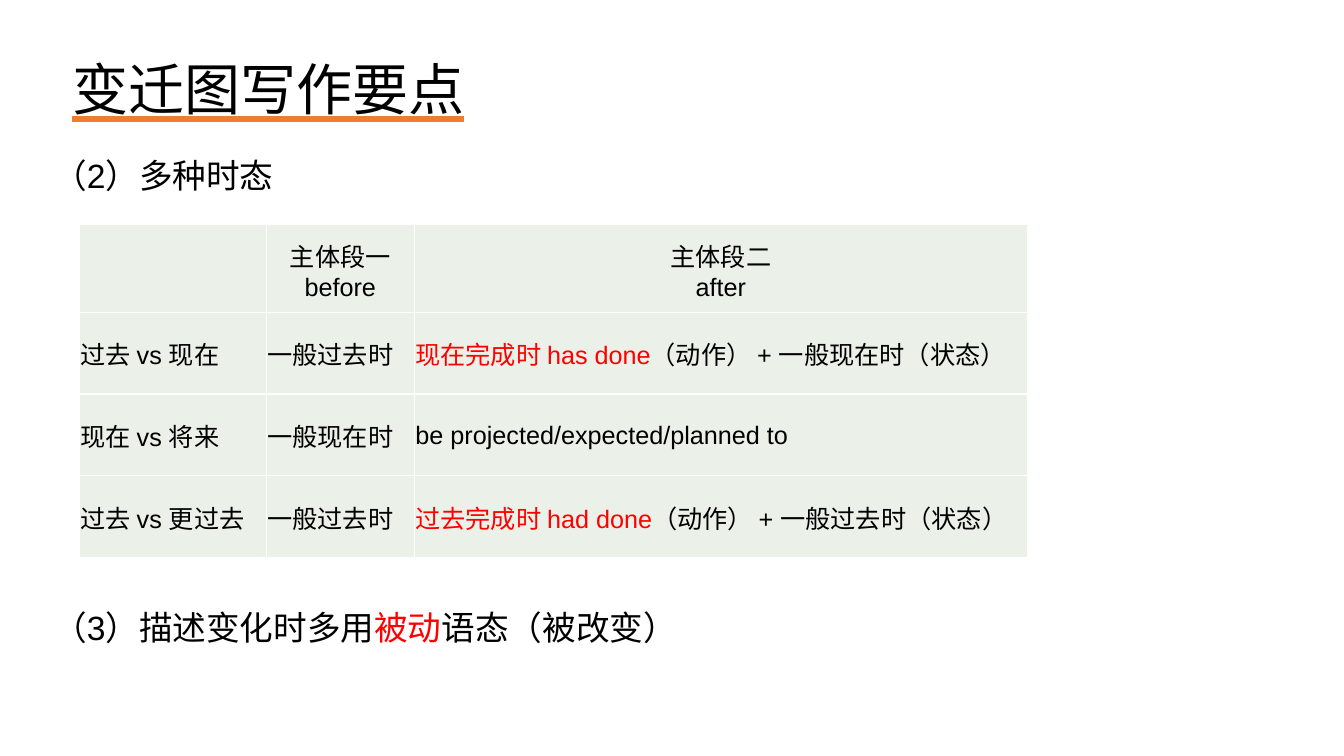
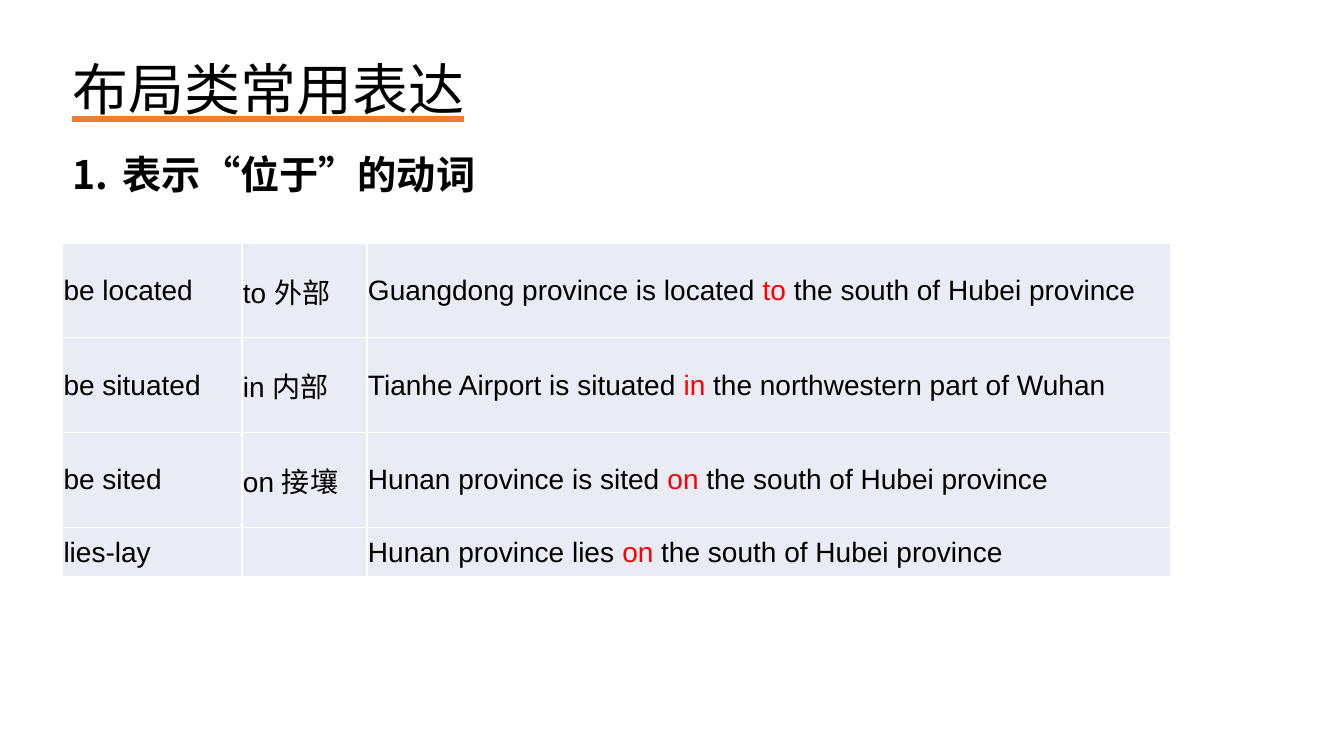
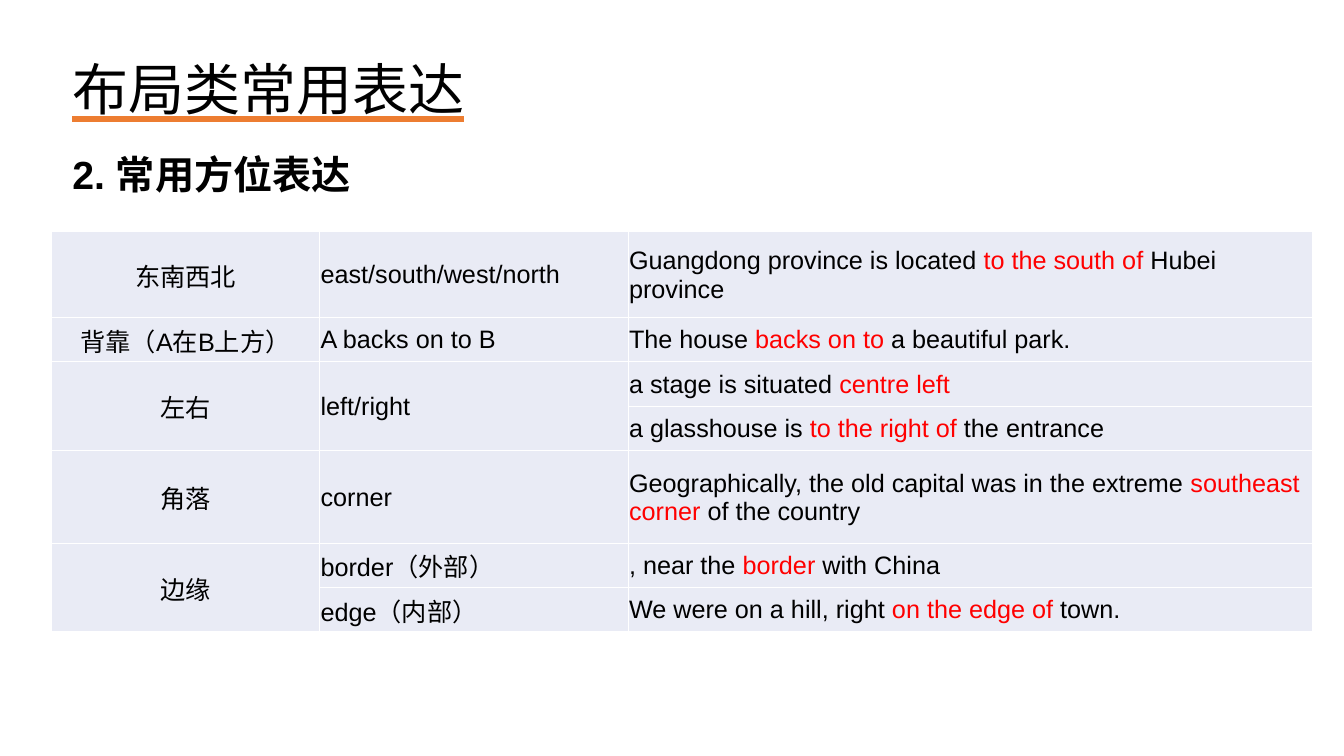
from dataclasses import dataclass

from lxml import etree
from pptx import Presentation
from pptx.dml.color import RGBColor
from pptx.enum.text import MSO_ANCHOR, MSO_AUTO_SIZE, MSO_UNDERLINE, PP_ALIGN
from pptx.oxml import parse_xml
from pptx.oxml.ns import nsdecls, qn
from pptx.util import Inches, Pt


@dataclass(frozen=True)
class Theme:
    black: str = "000000"
    red: str = "FF0000"
    orange: str = "ED7D31"
    white: str = "FFFFFF"
    green_cell: str = "EBF1E9"
    blue_cell: str = "E9EBF5"
    title_font: str = "Montserrat"
    body_font: str = "Arial"
    title_size: int = 40
    heading_size: int = 28
    point_size: int = 24
    large_cell_size: int = 20
    cell_size: int = 18


theme = Theme()


def add_runs(paragraph, text, size, font=theme.body_font, bold=False):
    """Write text in black, with every second part between bars in red."""
    for part_number, part in enumerate(text.split("|")):
        for line_number, line in enumerate(part.split("\n")):
            if line_number:
                paragraph.add_line_break()
            if not line:
                continue
            run = paragraph.add_run()
            run.text = line
            run.font.name = font
            run.font.size = Pt(size)
            run.font.bold = bold
            color = theme.red if part_number % 2 else theme.black
            run.font.color.rgb = RGBColor.from_string(color)


def add_text(slide, box, text, size, **style):
    shape = slide.shapes.add_textbox(*[Inches(length) for length in box])
    shape.text_frame.word_wrap = True
    paragraph = shape.text_frame.paragraphs[0]
    add_runs(paragraph, text, size, **style)
    return shape, paragraph


TITLE_BOX = (0.62, 0.19, 11.5, 1.45)
HEADING_BOX = (0.62, 1.49, 9.98, 5.41)

pages = [
    dict(
        title="变迁图写作要点",
        heading="（2）多种时态", heading_box=(0.43, 1.53, 7.26, 5.62),
        heading_size=theme.point_size, bold=False, numbered=False,
        closing="（3）描述变化时多用|被动|语态（被改变）",
        corner=(0.79, 2.23), columns=[1.85, 1.47, 6.08],
        heights=[0.87, 0.81, 0.81, 0.81],
        fill=theme.green_cell, size=theme.cell_size,
        centred_row=0, centred_column=None, merges=[],
        rows=[
            ["", "主体段一\nbefore", "主体段二\nafter"],
            ["过去 vs 现在", "一般过去时", "|现在完成时 has done|（动作） + 一般现在时（状态）"],
            ["现在 vs 将来", "一般现在时", "be projected/expected/planned to"],
            ["过去 vs 更过去", "一般过去时", "|过去完成时 had done|（动作） + 一般过去时（状态）"],
        ],
    ),
    dict(
        title="布局类常用表达",
        heading="表示“位于”的动词", heading_box=HEADING_BOX,
        heading_size=theme.heading_size, bold=True, numbered=True,
        closing=None,
        corner=(0.62, 2.41), columns=[1.78, 1.24, 7.97],
        heights=[0.94, 0.94, 0.94, 0.49],
        fill=theme.blue_cell, size=theme.large_cell_size,
        centred_row=None, centred_column=None, merges=[],
        rows=[
            ["be located", "to 外部", "Guangdong province is located |to| the south of Hubei province"],
            ["be situated", "in 内部", "Tianhe Airport is situated |in| the northwestern part of Wuhan"],
            ["be sited", "on 接壤", "Hunan province is sited |on| the south of Hubei province"],
            ["lies-lay", "", "Hunan province lies |on| the south of Hubei province"],
        ],
    ),
    dict(
        title="布局类常用表达",
        heading="2. 常用方位表达", heading_box=HEADING_BOX,
        heading_size=theme.heading_size, bold=True, numbered=False,
        closing=None,
        corner=(0.51, 2.3), columns=[2.66, 3.06, 6.79],
        heights=[0.85, 0.44, 0.44, 0.44, 0.92, 0.44, 0.44],
        fill=theme.blue_cell, size=theme.cell_size,
        centred_row=None, centred_column=0,
        merges=[((2, 0), (3, 0)), ((2, 1), (3, 1)), ((5, 0), (6, 0))],
        rows=[
            ["东南西北", "east/south/west/north",
             "Guangdong province is located |to the south of |Hubei province"],
            ["背靠（A在B上方）", "A backs on to B", "The house |backs on to |a beautiful park."],
            ["左右", "left/right", "a stage is situated |centre left"],
            ["", "", "a glasshouse is |to the right of |the entrance"],
            ["角落", "corner",
             "Geographically, the old capital was in the extreme |southeast corner |of the country"],
            ["边缘", "border（外部）", ", near the |border| with China"],
            ["", "edge（内部）", "We were on a hill, right |on the edge of |town."],
        ],
    ),
]

presentation = Presentation()
presentation.slide_width = Inches(13.33)
presentation.slide_height = Inches(7.5)

for page in pages:
    slide = presentation.slides.add_slide(presentation.slide_layouts[6])

    # Title with a heavy orange underline
    shape, paragraph = add_text(
        slide, TITLE_BOX, page["title"], theme.title_size, font=theme.title_font)
    shape.text_frame.vertical_anchor = MSO_ANCHOR.MIDDLE
    paragraph.line_spacing = 0.9
    title_font = paragraph.runs[0].font
    title_font.underline = MSO_UNDERLINE.HEAVY_LINE
    underline_fill = parse_xml(
        f'<a:uFill {nsdecls("a")}><a:solidFill><a:srgbClr val="{theme.orange}"/>'
        "</a:solidFill></a:uFill>")
    paragraph.runs[0]._r.rPr.find(qn("a:latin")).addprevious(underline_fill)

    # Heading
    shape, paragraph = add_text(
        slide, page["heading_box"], page["heading"], page["heading_size"], bold=page["bold"])
    paragraph.line_spacing = 0.9
    paragraph.space_before = Pt(10)
    if page["numbered"]:
        properties = paragraph._p.get_or_add_pPr()
        properties.set("marL", str(Inches(0.5)))
        properties.set("indent", str(-Inches(0.5)))
        etree.SubElement(properties, qn("a:buAutoNum"), type="arabicPeriod")

    # Table
    left, top = page["corner"]
    table = slide.shapes.add_table(
        len(page["rows"]), len(page["columns"]), Inches(left), Inches(top),
        Inches(sum(page["columns"])), Inches(sum(page["heights"]))).table
    table.first_row = False
    table.horz_banding = False
    for column, width in zip(table.columns, page["columns"]):
        column.width = Inches(width)
    for row, height in zip(table.rows, page["heights"]):
        row.height = Inches(height)
    for row_number, texts in enumerate(page["rows"]):
        for column_number, text in enumerate(texts):
            cell = table.cell(row_number, column_number)
            cell.fill.solid()
            cell.fill.fore_color.rgb = RGBColor.from_string(page["fill"])
            cell.vertical_anchor = MSO_ANCHOR.MIDDLE
            cell.margin_left = cell.margin_right = cell.margin_top = Inches(0.01)
            cell.margin_bottom = 0
            for position, side in enumerate(["lnL", "lnR", "lnT", "lnB"]):
                border = parse_xml(
                    f'<a:{side} {nsdecls("a")} w="{Pt(1)}"><a:solidFill>'
                    f'<a:srgbClr val="{theme.white}"/></a:solidFill></a:{side}>')
                cell._tc.get_or_add_tcPr().insert(position, border)
            paragraph = cell.text_frame.paragraphs[0]
            add_runs(paragraph, text, page["size"])
            if row_number == page["centred_row"] or column_number == page["centred_column"]:
                paragraph.alignment = PP_ALIGN.CENTER
    for first, last in page["merges"]:
        table.cell(*first).merge(table.cell(*last))

    if page["closing"]:
        shape, paragraph = add_text(
            slide, (0.43, 5.97, 6.67, 0.5), page["closing"], theme.point_size)
        shape.text_frame.auto_size = MSO_AUTO_SIZE.SHAPE_TO_FIT_TEXT

presentation.save("out.pptx")
